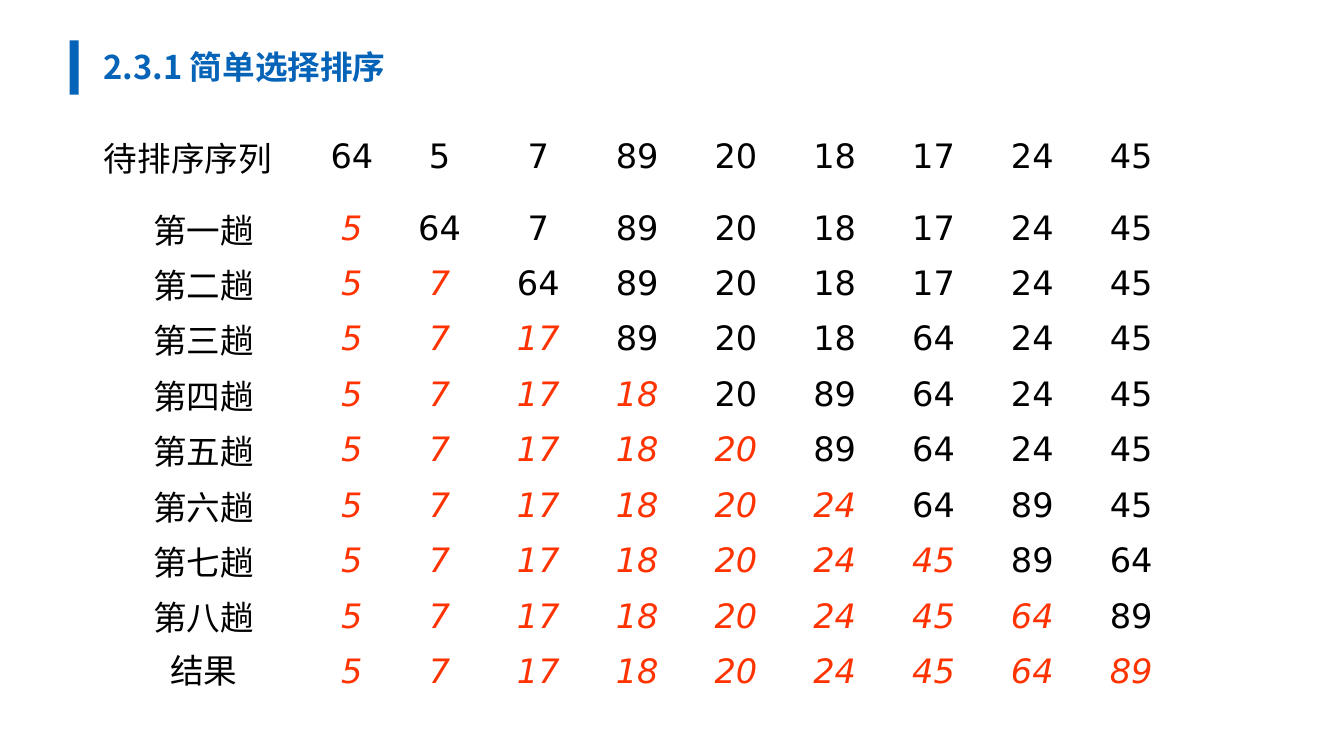
from pptx import Presentation
from pptx.dml.color import RGBColor
from pptx.enum.shapes import MSO_SHAPE
from pptx.enum.text import MSO_ANCHOR, PP_ALIGN
from pptx.oxml.ns import qn
from pptx.util import Pt
from lxml import etree

RECT = MSO_SHAPE.RECTANGLE
TOP, MID = MSO_ANCHOR.TOP, MSO_ANCHOR.MIDDLE
LEFT, MIDDLE = PP_ALIGN.LEFT, PP_ALIGN.CENTER

# Content: label, number of sorted values, values
TITLE = "2.3.1 简单选择排序"
STEPS = [
    ("待排序序列", 0, [64, 5, 7, 89, 20, 18, 17, 24, 45]),
    ("第一趟", 1, [5, 64, 7, 89, 20, 18, 17, 24, 45]),
    ("第二趟", 2, [5, 7, 64, 89, 20, 18, 17, 24, 45]),
    ("第三趟", 3, [5, 7, 17, 89, 20, 18, 64, 24, 45]),
    ("第四趟", 4, [5, 7, 17, 18, 20, 89, 64, 24, 45]),
    ("第五趟", 5, [5, 7, 17, 18, 20, 89, 64, 24, 45]),
    ("第六趟", 6, [5, 7, 17, 18, 20, 24, 64, 89, 45]),
    ("第七趟", 7, [5, 7, 17, 18, 20, 24, 45, 89, 64]),
    ("第八趟", 8, [5, 7, 17, 18, 20, 24, 45, 64, 89]),
    ("结果", 9, [5, 7, 17, 18, 20, 24, 45, 64, 89]),
]

# Look: lengths in px, 100 px to the inch
PX = 9144
COLOR = {"blue": "0563B8", "red": "FF3300", "black": "000000", "white": "FFFFFF"}
HAN = "Noto Sans CJK SC"
HEAD = {"name": HAN, "size": Pt(23.3), "bold": True}
PLAIN = {"name": "DejaVu Sans", "size": Pt(24), "bold": False, "italic": False}
DONE = {**PLAIN, "italic": True}
COLS = [218, 76] + [98] * 8
ROWS = [89, 54] + [55] * 8


def box(*sides):
    return [side * PX for side in sides]


def paint(fill, color):
    fill.solid()
    fill.fore_color.rgb = RGBColor.from_string(COLOR[color])


def write(frame, text, look, color, align):
    para = frame.paragraphs[0]
    para.alignment = align
    run = para.add_run()
    run.text = text
    for key, value in look.items():
        setattr(run.font, key, value)
    run.font.color.rgb = RGBColor.from_string(COLOR[color])
    etree.SubElement(run.font._element, qn("a:ea"), typeface=HAN)


deck = Presentation()
deck.slide_width, deck.slide_height = box(1333, 750)
slide = deck.slides.add_slide(deck.slide_layouts[6])

# Title with its bar
bar = slide.shapes.add_shape(RECT, *box(69, 40, 9, 54))
bar.shadow.inherit = False
bar.line.fill.background()
paint(bar.fill, "blue")
title = slide.shapes.add_textbox(*box(93, 42, 477, 49)).text_frame
title.word_wrap = True
write(title, TITLE, HEAD, "blue", LEFT)

# Table of sorting passes
size = box(93, 111, sum(COLS), sum(ROWS))
grid = slide.shapes.add_table(len(ROWS), len(COLS), *size).table
grid.first_row = grid.horz_banding = False
for col, width in zip(grid.columns, COLS):
    col.width = width * PX
for row, height in zip(grid.rows, ROWS):
    row.height = height * PX

for r, (label, count, values) in enumerate(STEPS):
    for c, value in enumerate([label] + values):
        cell = grid.cell(r, c)
        paint(cell.fill, "white")
        cell.margin_top = cell.margin_bottom = 0
        cell.vertical_anchor = TOP if label == "结果" and c == 0 else MID
        look, color = (DONE, "red") if 1 <= c <= count else (PLAIN, "black")
        align = LEFT if r == c == 0 else MIDDLE
        write(cell.text_frame, str(value), look, color, align)

deck.save("out.pptx")
